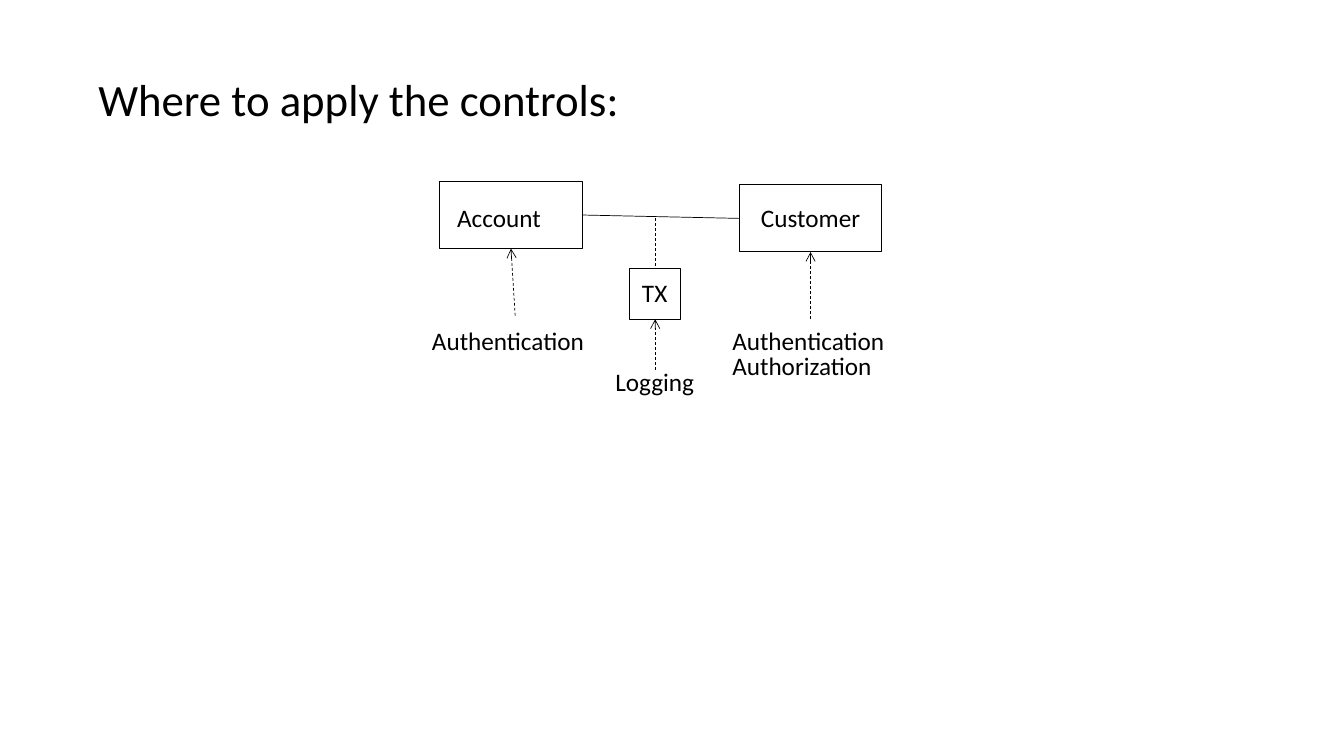
from lxml.etree import SubElement
from pptx import Presentation
from pptx.dml.color import RGBColor
from pptx.enum.dml import MSO_LINE
from pptx.enum.shapes import MSO_CONNECTOR, MSO_SHAPE
from pptx.enum.text import MSO_ANCHOR, MSO_AUTO_SIZE, PP_ALIGN
from pptx.oxml.ns import qn
from pptx.util import Pt

THEME = {
    "font": "Calibri",
    "ink": RGBColor(0, 0, 0),
    "title_size": 32,
    "label_size": 18,
    "box_line": 0.75,
    "link_line": 0.5,
}
TOP, LEFT, BOTTOM, RIGHT = range(4)

TITLE = ("Where to apply the controls:", (63, 27, 828, 91.5))
BOXES = {
    "Account": (314, 129.6, 102, 48),
    "Customer": (528, 132, 102, 48),
    "TX": (450, 192, 36, 36),
}
LABELS = [
    ("Account", (319.5, 141, 75, 29)),
    ("Customer", (536.5, 141, 86.5, 29)),
    ("TX", (451.5, 194.5, 33, 29)),
    ("Logging", (432.5, 258, 71.5, 29)),
    ("Authentication", (516, 229, 124.5, 29)),
    ("Authorization", (516, 247, 115, 29)),
    ("Authentication", (301.5, 228.5, 124.5, 29)),
]
ASSOCIATION = (("Account", RIGHT), ("Customer", LEFT))
TRANSACTION_LINK = ((468, 156), ("TX", TOP))
CONTROL_ARROWS = [
    ((368, 225.5), ("Account", BOTTOM)),
    ((579, 228), ("Customer", BOTTOM)),
    ((468, 264), ("TX", BOTTOM)),
]


def points(values):
    return [Pt(value) for value in values]


def write_text(frame, text, size, anchor=MSO_ANCHOR.TOP, wrap=False, spacing=None):
    frame.word_wrap = wrap
    frame.vertical_anchor = anchor
    frame.auto_size = MSO_AUTO_SIZE.NONE if wrap else MSO_AUTO_SIZE.SHAPE_TO_FIT_TEXT
    paragraph = frame.paragraphs[0]
    paragraph.alignment = PP_ALIGN.LEFT
    paragraph.line_spacing = spacing
    run = paragraph.add_run()
    run.text = text
    run.font.name = THEME["font"]
    run.font.size = Pt(size)
    run.font.color.rgb = THEME["ink"]


def add_box(slide, frame):
    box = slide.shapes.add_shape(MSO_SHAPE.RECTANGLE, *points(frame))
    box.shadow.inherit = False
    box.fill.background()
    box.line.color.rgb = THEME["ink"]
    box.line.width = Pt(THEME["box_line"])
    return box


def add_link(slide, boxes, start, end, dashed=True, arrow=False):
    connector = slide.shapes.add_connector(MSO_CONNECTOR.STRAIGHT, 0, 0, 0, 0)
    if start[0] in boxes:
        connector.begin_connect(boxes[start[0]], start[1])
    else:
        connector.begin_x, connector.begin_y = points(start)
    connector.end_connect(boxes[end[0]], end[1])
    connector.line.color.rgb = THEME["ink"]
    connector.line.width = Pt(THEME["link_line"])
    if dashed:
        connector.line.dash_style = MSO_LINE.DASH
    properties = connector._element.spPr
    if arrow:
        SubElement(properties.find(qn("a:ln")), qn("a:tailEnd"), type="arrow")
    SubElement(properties, qn("a:effectLst"))


def main():
    presentation = Presentation()
    presentation.slide_width, presentation.slide_height = Pt(960), Pt(540)
    slide = presentation.slides.add_slide(presentation.slide_layouts[5])

    text, frame = TITLE
    title = slide.shapes.title
    title.left, title.top, title.width, title.height = points(frame)
    write_text(title.text_frame, text, THEME["title_size"],
               anchor=MSO_ANCHOR.MIDDLE, wrap=True, spacing=0.9)

    boxes = {name: add_box(slide, frame) for name, frame in BOXES.items()}
    for text, frame in LABELS:
        label = slide.shapes.add_textbox(*points(frame))
        write_text(label.text_frame, text, THEME["label_size"])

    add_link(slide, boxes, *ASSOCIATION, dashed=False)
    add_link(slide, boxes, *TRANSACTION_LINK)
    for start, end in CONTROL_ARROWS:
        add_link(slide, boxes, start, end, arrow=True)

    presentation.save("out.pptx")


if __name__ == "__main__":
    main()
